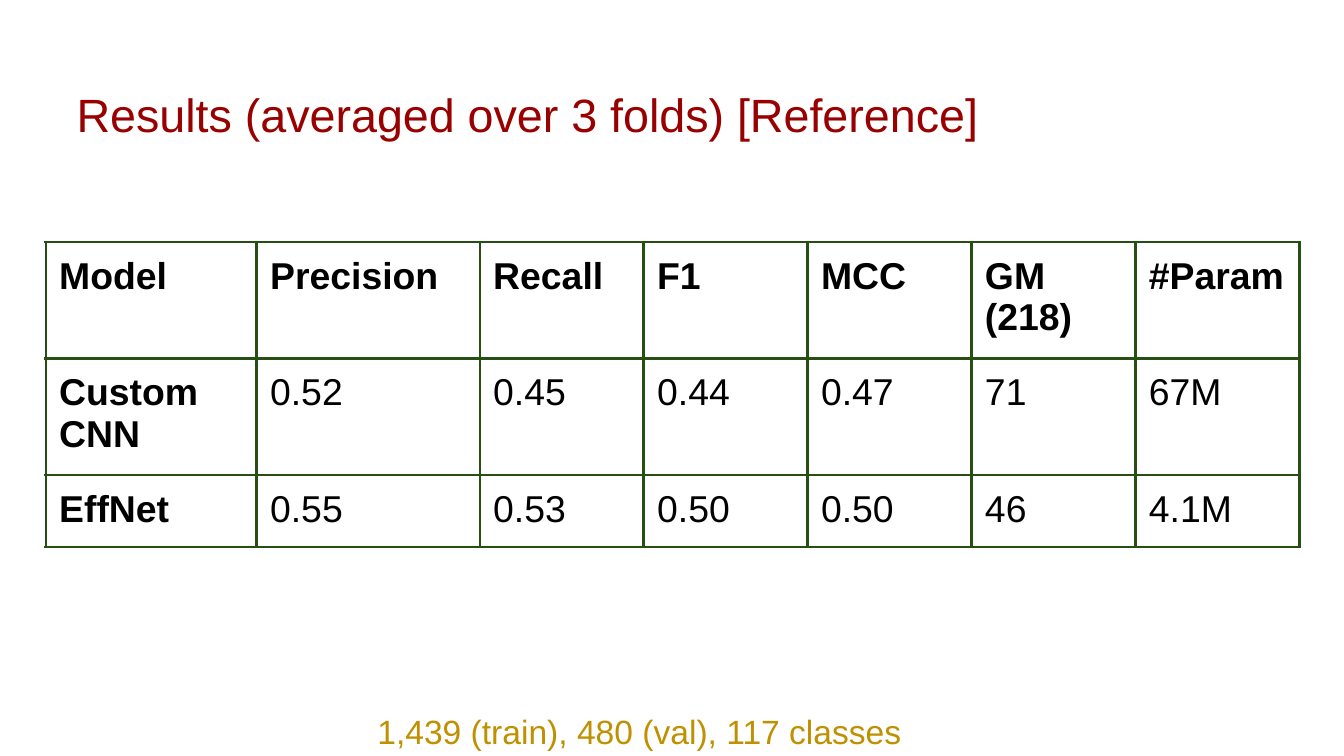
from lxml import etree
from pptx import Presentation
from pptx.dml.color import RGBColor
from pptx.enum.text import MSO_ANCHOR
from pptx.oxml.ns import qn
from pptx.util import Inches, Pt

MIDDLE, TOP = MSO_ANCHOR.MIDDLE, MSO_ANCHOR.TOP
COLORS = {"title": "990000", "text": "000000", "border": "274E13", "note": "BF9000"}


def style(para, size, color, bold=False):
    font = para.font
    font.name, font.size, font.bold = "Arial", Pt(size), bold
    font.color.rgb = RGBColor.from_string(COLORS[color])


def add_text(text, box, pad, anchor, size, color):
    frame = slide.shapes.add_textbox(*map(Inches, box)).text_frame
    frame.word_wrap = True
    frame.vertical_anchor = anchor
    frame.margin_left = frame.margin_right = Inches(pad[0])
    frame.margin_top = frame.margin_bottom = Inches(pad[1])
    frame.text = text
    style(frame.paragraphs[0], size, color)


# Slide in 16:9
prs = Presentation()
prs.slide_width = Inches(10)
prs.slide_height = Inches(10) * 9 // 16
slide = prs.slides.add_slide(prs.slide_layouts[6])

# Title
add_text("Results (averaged over 3 folds) [Reference]",
         (0.5, 0.3, 9, 1.09), (0.07, 0.04), MIDDLE, 25, "title")

# Results table
rows = [
    ["Model", "Precision", "Recall", "F1", "MCC", "GM (218)", "#Param"],
    ["Custom CNN", "0.52", "0.45", "0.44", "0.47", "71", "67M"],
    ["EffNet", "0.55", "0.53", "0.50", "0.50", "46", "4.1M"],
]
widths = [1.57, 1.66] + [1.22] * 5
heights = [0.82, 0.82, 0.51]
table = slide.shapes.add_table(
    len(rows), len(widths), Inches(0.34), Inches(1.8),
    Inches(sum(widths)), Inches(sum(heights))).table
table.first_row = table.horz_banding = False
for col, width in zip(table.columns, widths):
    col.width = Inches(width)
for row, height in zip(table.rows, heights):
    row.height = Inches(height)

for r, row in enumerate(rows):
    for c, text in enumerate(row):
        cell = table.cell(r, c)
        cell.text = text
        cell.margin_left = cell.margin_right = Inches(0.1)
        cell.margin_top = cell.margin_bottom = Inches(0.1)
        style(cell.text_frame.paragraphs[0], 20, "text", bold=r == 0 or c == 0)
        # Borders come before the fill in the cell properties
        props = cell._tc.get_or_add_tcPr()
        for side in ("a:lnL", "a:lnR", "a:lnT", "a:lnB"):
            line = etree.SubElement(props, qn(side), w=str(Pt(1.5)))
            fill = etree.SubElement(line, qn("a:solidFill"))
            etree.SubElement(fill, qn("a:srgbClr"), val=COLORS["border"])
        cell.fill.background()

# Data set note
add_text("1,439 (train), 480 (val), 117 classes",
         (2.71, 5.19, 4.44, 0.5), (0.1, 0.1), TOP, 18, "note")

prs.save("out.pptx")
